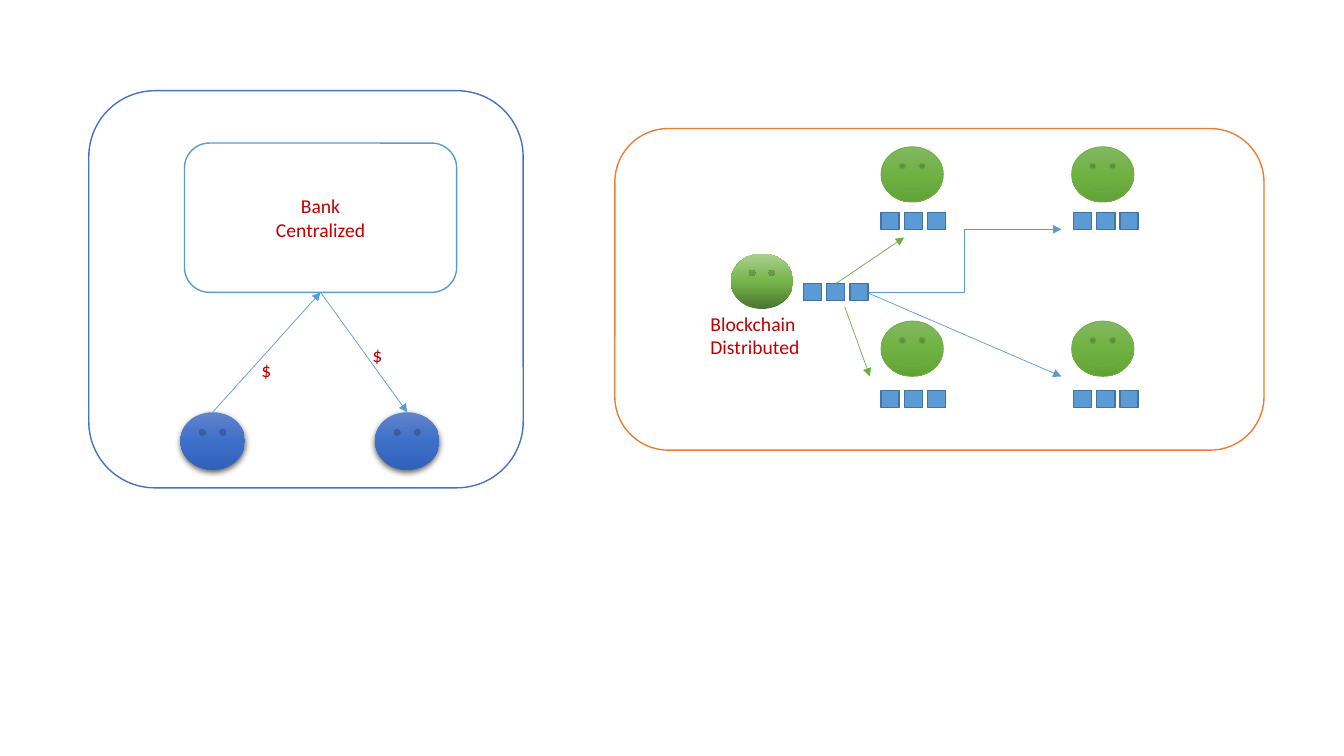
from dataclasses import dataclass

from pptx import Presentation
from pptx import util as u
from pptx.dml import color
from pptx.enum import shapes, text
from pptx.oxml import parse_xml
from pptx.oxml import ns


@dataclass(frozen=True)
class Theme:
    font: str = "Calibri"
    size: float = 14
    ink: str = "C00000"
    paper: str = "FFFFFF"
    central: str = "4472C4"
    distributed: str = "ED7D31"
    blue: str = "5B9BD5"
    block_edge: str = "43739E"
    green: str = "70AD47"
    # Gradient stops, then the clockwise angle in degrees
    client_face: tuple = (((0, "6183CB"), (50, "3E70CA"), (100, "3062BB")), 90)
    peer_face: tuple = (((0, "81B861"), (50, "6FB242"), (100, "62A336")), 90)
    sender_face: tuple = (((0, "4B7430"), (48, "74B349"), (100, "A9D18E")), 270)


THEME = Theme()
KIND = shapes.MSO_SHAPE
WIRE = shapes.MSO_CONNECTOR


def rgb(value):
    return color.RGBColor.from_string(value)


def add_shape(parts, kind, box, fill=None, line=None, width=1):
    shape = parts.add_shape(kind, *(u.Pt(length) for length in box))
    shape.shadow.inherit = False
    if fill:
        shape.fill.solid()
        shape.fill.fore_color.rgb = rgb(fill)
    if line:
        shape.line.color.rgb = rgb(line)
        shape.line.width = u.Pt(width)
    else:
        shape.line.fill.background()
    return shape


def write(frame, lines, align):
    for number, line in enumerate(lines):
        para = frame.paragraphs[0] if number == 0 else frame.add_paragraph()
        para.text = line
        para.alignment = align
        para.font.name = THEME.font
        para.font.size = u.Pt(THEME.size)
        para.font.color.rgb = rgb(THEME.ink)


def add_label(parts, box, lines, wrap):
    label = parts.add_textbox(*(u.Pt(length) for length in box))
    label.text_frame.word_wrap = wrap
    label.text_frame.auto_size = text.MSO_AUTO_SIZE.SHAPE_TO_FIT_TEXT
    write(label.text_frame, lines, text.PP_ALIGN.LEFT)


def add_face(parts, box, gradient, line=None, shadow=False):
    face = add_shape(parts, KIND.SMILEY_FACE, box, line=line, width=0.5)
    stops, angle = gradient
    stop_xml = "".join(
        f'<a:gs pos="{place * 1000}"><a:srgbClr val="{tone}"/></a:gs>' for place, tone in stops)
    face.fill.background()
    properties = face._element.spPr
    properties.replace(properties.find(ns.qn("a:noFill")), parse_xml(
        f'<a:gradFill {ns.nsdecls("a")} rotWithShape="1"><a:gsLst>{stop_xml}</a:gsLst>'
        f'<a:lin ang="{angle * 60000}" scaled="0"/></a:gradFill>'))
    if shadow:
        properties.find(ns.qn("a:effectLst")).append(parse_xml(
            f'<a:outerShdw {ns.nsdecls("a")} blurRad="{u.Pt(4.5)}" dist="{u.Pt(1.5)}" '
            'dir="5400000" algn="ctr" rotWithShape="0"><a:srgbClr val="000000">'
            '<a:alpha val="63000"/></a:srgbClr></a:outerShdw>'))


def add_arrow(parts, start, end, tone, kind=WIRE.STRAIGHT):
    arrow = parts.add_connector(kind, *(u.Pt(length) for length in (*start, *end)))
    arrow.line.color.rgb = rgb(tone)
    arrow.line.width = u.Pt(0.5)
    arrow.line._get_or_add_ln().append(parse_xml(f'<a:tailEnd {ns.nsdecls("a")} type="triangle"/>'))
    arrow._element.spPr.append(parse_xml(f'<a:effectLst {ns.nsdecls("a")}/>'))


def add_chain(parts, left, top):
    """Three blocks in a row."""
    for number in range(3):
        add_shape(parts, KIND.RECTANGLE, (left + number * 16.6, top, 13, 12.2),
                  THEME.blue, THEME.block_edge)


def draw_central(page, box):
    left, top = box[:2]
    parts = page.shapes.add_group_shape().shapes
    add_shape(parts, KIND.ROUNDED_RECTANGLE, box, THEME.paper, THEME.central)

    # Bank
    bank_box = (left + 68.4, top + 37.4, 194.4, 106.6)
    bank = add_shape(parts, KIND.ROUNDED_RECTANGLE, bank_box, THEME.paper, THEME.blue)
    bank.text_frame.vertical_anchor = text.MSO_ANCHOR.MIDDLE
    write(bank.text_frame, ("Bank", "Centralized"), text.PP_ALIGN.CENTER)

    # Payer and payee
    face_width, face_height = 46, 41
    face_top = top + 229.7
    face_lefts = (left + 65.5, left + 204.5)
    for face_left in face_lefts:
        add_face(parts, (face_left, face_top, face_width, face_height),
                 THEME.client_face, shadow=True)

    # Payment through the bank
    payer, payee = ((face_left + face_width / 2, face_top) for face_left in face_lefts)
    counter = (bank_box[0] + bank_box[2] / 2, bank_box[1] + bank_box[3])
    add_arrow(parts, payer, counter, THEME.blue)
    add_arrow(parts, counter, payee, THEME.blue)
    for x, y in ((117.4, 187.2), (196.6, 176.4)):
        add_label(parts, (left + x, top + y, 13, 24.5), ("$",), True)


def draw_distributed(page, box):
    left, top = box[:2]
    parts = page.shapes.add_group_shape().shapes
    add_shape(parts, KIND.ROUNDED_RECTANGLE, box, THEME.paper, THEME.distributed)

    # Sender and its chain
    face_size = (44.6, 39.6)
    add_face(parts, (left + 82.8, top + 89.3, *face_size), THEME.sender_face)

    # Four peers, each with a copied chain
    for face_top, chain_top in ((13, 59.8), (137.5, 187.2)):
        for face_left, chain_left in ((190.1, 190.1), (326.2, 327.6)):
            add_face(parts, (left + face_left, top + face_top, *face_size),
                     THEME.peer_face, THEME.green)
            add_chain(parts, left + chain_left, top + chain_top)

    # Arrows to the peers
    chain_end = (180.7, 117.4)
    for start, end, tone, kind in (
        ((157.7, 110.9), (206.6, 77.8), THEME.green, WIRE.STRAIGHT),
        (chain_end, (319, 72), THEME.blue, WIRE.ELBOW),
        ((164.2, 127.4), (182.2, 177.1), THEME.green, WIRE.STRAIGHT),
        (chain_end, (319, 177.1), THEME.blue, WIRE.STRAIGHT),
    ):
        add_arrow(parts, (left + start[0], top + start[1]),
                  (left + end[0], top + end[1]), tone, kind)
    add_chain(parts, left + 134.6, top + 110.9)
    add_label(parts, (left + 61.2, top + 127.4, 79.2, 41), ("Blockchain", "Distributed"), False)


def main():
    deck = Presentation()
    deck.slide_width, deck.slide_height = u.Pt(960), u.Pt(540)
    page = deck.slides.add_slide(deck.slide_layouts[6])
    draw_central(page, (63.4, 64.8, 310.3, 283.7))
    draw_distributed(page, (439.2, 91.8, 463.7, 229.7))
    deck.save("out.pptx")


if __name__ == "__main__":
    main()
